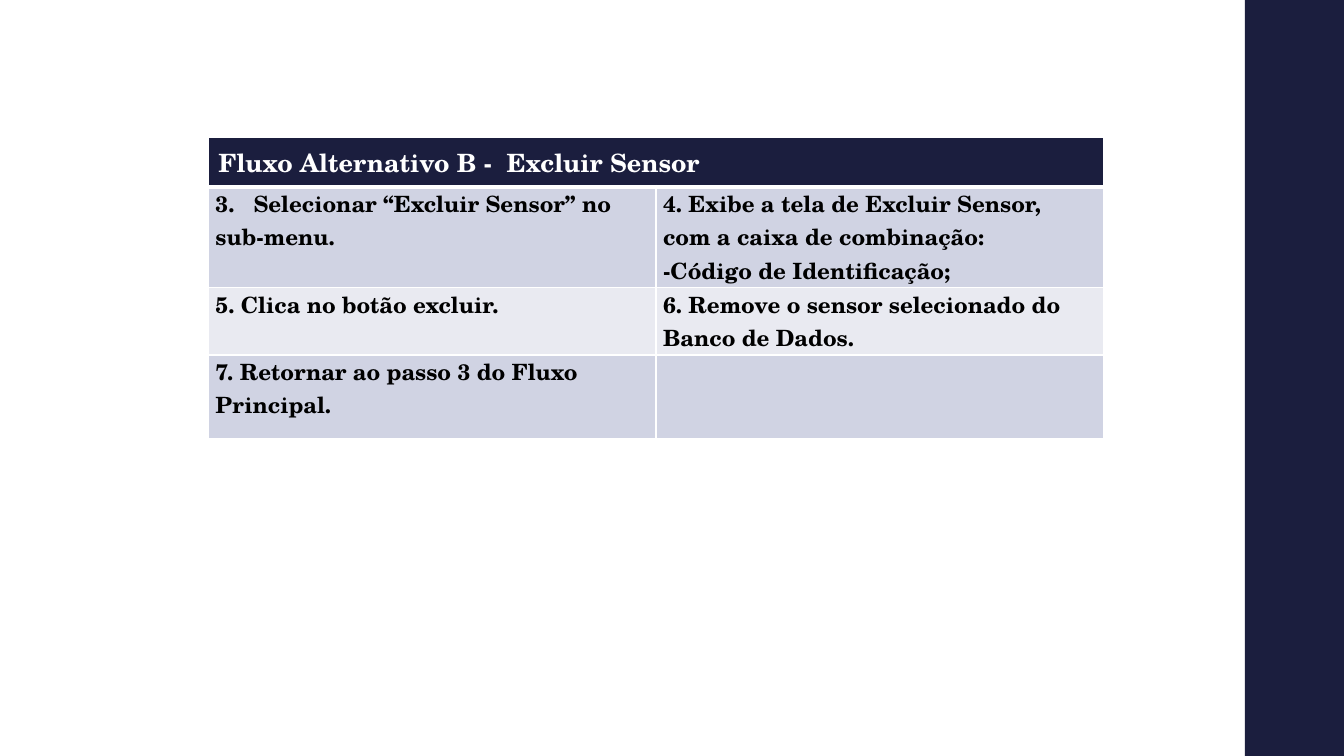
from lxml import etree
from pptx import Presentation
from pptx.dml.color import RGBColor
from pptx.enum.shapes import MSO_SHAPE
from pptx.enum.text import MSO_ANCHOR
from pptx.oxml.ns import qn
from pptx.util import Cm, Pt

RECT = MSO_SHAPE.RECTANGLE
MIDDLE = MSO_ANCHOR.MIDDLE
FONT = "TeX Gyre Schola"
COLORS = {"navy": "1B1E3E", "band": "D0D3E3", "light": "E9EAF1",
          "white": "FFFFFF", "black": "000000"}


def set_borders(cell, bottom=1):
    """Give the cell white borders, 1 pt except for the bottom one."""
    tcPr = cell._tc.get_or_add_tcPr()
    widths = {"lnL": 1, "lnR": 1, "lnT": 1, "lnB": bottom}
    for i, (tag, width) in enumerate(widths.items()):
        ln = etree.Element(qn(f"a:{tag}"), w=str(Pt(width)))
        fill = etree.SubElement(ln, qn("a:solidFill"))
        etree.SubElement(fill, qn("a:srgbClr"), val=COLORS["white"])
        tcPr.insert(i, ln)


def style_font(font, size, color):
    font.name = FONT
    font.size = Pt(size)
    font.bold = True
    font.color.rgb = RGBColor.from_string(COLORS[color])


prs = Presentation()
prs.slide_width, prs.slide_height = Cm(33.87), Cm(19.05)
s = prs.slides.add_slide(prs.slide_layouts[6])

# Side band
band = s.shapes.add_shape(RECT, Cm(31.37), 0, Cm(2.5), prs.slide_height)
band.shadow.inherit = False
band.fill.solid()
band.fill.fore_color.rgb = RGBColor.from_string(COLORS["navy"])
band.line.fill.background()

# Flow table
steps = [
    ("Selecionar “Excluir Sensor” no\nsub-menu.",
     "4. Exibe a tela de Excluir Sensor,\ncom a caixa de combinação:\n-Código de Identificação;"),
    ("5. Clica no botão excluir.",
     "6. Remove o sensor selecionado do\nBanco de Dados."),
    ("7. Retornar ao passo 3 do Fluxo\nPrincipal.", ""),
]
row_heights = [1.21, 2.54, 1.69, 2.1]
table = s.shapes.add_table(4, 2, Cm(5.25), Cm(3.47), Cm(22.56),
                           Cm(sum(row_heights))).table
for row, height in zip(table.rows, row_heights):
    row.height = Cm(height)

header = table.cell(0, 0)
header.merge(table.cell(0, 1))
header.text = "Fluxo Alternativo B -  Excluir Sensor"
header.vertical_anchor = MIDDLE
style_font(header.text_frame.paragraphs[0].runs[0].font, 18, "white")
for cell in table.rows[0].cells:
    cell.fill.solid()
    cell.fill.fore_color.rgb = RGBColor.from_string(COLORS["navy"])
    set_borders(cell, bottom=3)

for r, texts in enumerate(steps, start=1):
    for c, text in enumerate(texts):
        cell = table.cell(r, c)
        cell.text = text
        cell.margin_left = cell.margin_right = Cm(0.18)
        cell.margin_top = cell.margin_bottom = 0
        cell.fill.solid()
        cell.fill.fore_color.rgb = RGBColor.from_string(COLORS["band" if r % 2 else "light"])
        set_borders(cell)
        for p in cell.text_frame.paragraphs:
            p.line_spacing = Pt(24)
            for run in p.runs:
                style_font(run.font, 16, "black")

# The first step is an automatic number that starts at 3
pPr = table.cell(1, 0).text_frame.paragraphs[0]._p.get_or_add_pPr()
pPr.set("marL", str(Cm(0.96)))
pPr.set("indent", str(-Cm(0.96)))
etree.SubElement(pPr, qn("a:buFont"), typeface=FONT)
etree.SubElement(pPr, qn("a:buAutoNum"), type="arabicPeriod", startAt="3")

prs.save("out.pptx")
